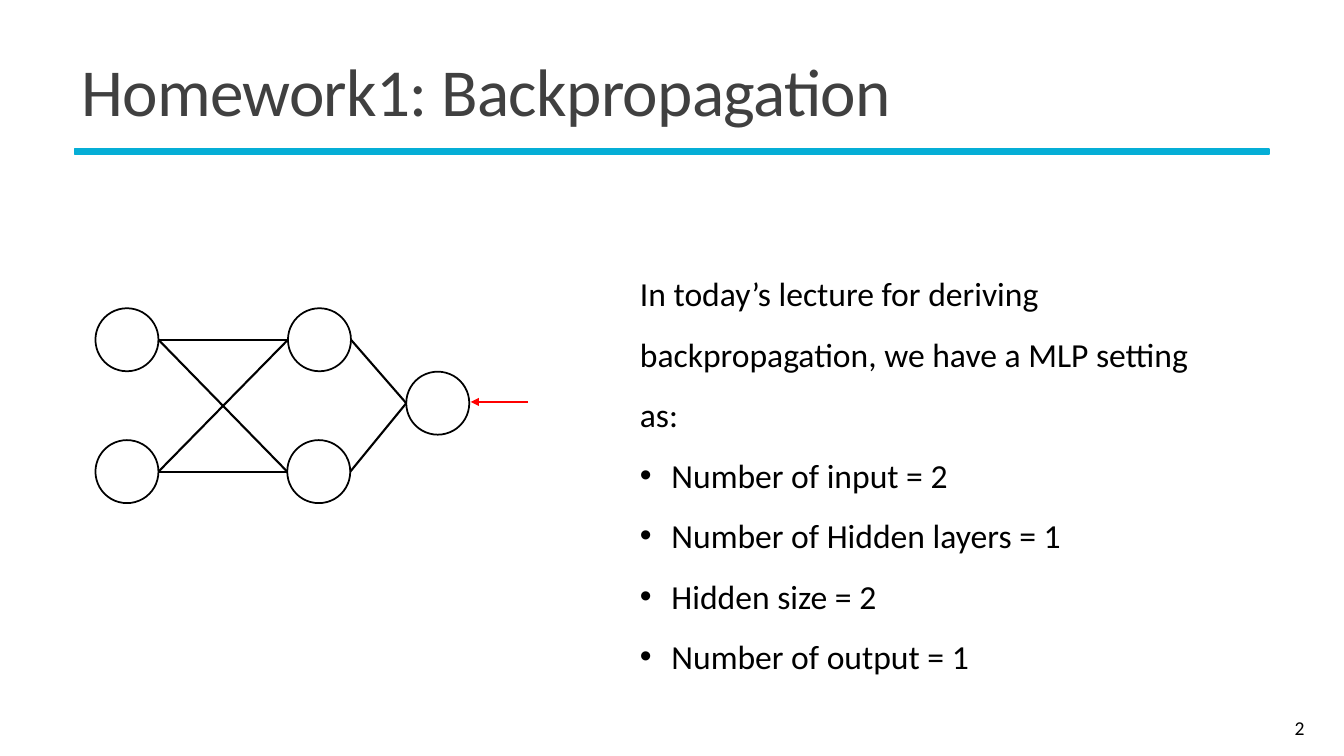
from lxml import etree
from pptx import Presentation
from pptx.dml.color import RGBColor
from pptx.enum.shapes import MSO_CONNECTOR, MSO_SHAPE
from pptx.enum.text import MSO_ANCHOR, MSO_AUTO_SIZE, PP_ALIGN
from pptx.oxml.ns import qn
from pptx.util import Pt

OVAL, RECTANGLE = MSO_SHAPE.OVAL, MSO_SHAPE.RECTANGLE
STRAIGHT = MSO_CONNECTOR.STRAIGHT
TOP, MIDDLE = MSO_ANCHOR.TOP, MSO_ANCHOR.MIDDLE
LEFT, RIGHT = PP_ALIGN.LEFT, PP_ALIGN.RIGHT
GROW = MSO_AUTO_SIZE.SHAPE_TO_FIT_TEXT
COLORS = {"title": "404040", "ink": "000000", "accent": "05AED6", "signal": "FF0000"}

prs = Presentation()
prs.slide_width, prs.slide_height = Pt(960), Pt(540)
slide = prs.slides.add_slide(prs.slide_layouts[6])


def add_text(box, lines, size, color, anchor, align, spacing):
    frame = slide.shapes.add_textbox(*map(Pt, box)).text_frame
    frame.word_wrap = True
    frame.vertical_anchor = anchor
    for i, line in enumerate(lines):
        paragraph = frame.paragraphs[0] if i == 0 else frame.add_paragraph()
        paragraph.text = line
        paragraph.alignment, paragraph.line_spacing = align, spacing
        font = paragraph.runs[0].font
        for name, value in {"name": "Calibri", "size": Pt(size)}.items():
            setattr(font, name, value)
        font.color.rgb = RGBColor.from_string(COLORS[color])
    return frame


def add_link(start, end, color):
    link = slide.shapes.add_connector(STRAIGHT, *map(Pt, (*start, *end)))
    link.line.color.rgb = RGBColor.from_string(COLORS[color])
    link.line.width = Pt(1.5)
    etree.SubElement(link._element.spPr, qn("a:effectLst"))
    return link


# Title and rule
rule = slide.shapes.add_shape(RECTANGLE, Pt(53.3), Pt(106.6), Pt(853.2), Pt(3.6))
rule.shadow.inherit = False
rule.fill.solid()
rule.fill.fore_color.rgb = rule.line.color.rgb = RGBColor.from_string(COLORS["accent"])
rule.line.width = Pt(1.25)
title = add_text((51.1, 28.1, 859.7, 81.4), ["Homework1: Backpropagation"],
                 48, "title", MIDDLE, LEFT, 0.85)
title.paragraphs[0].runs[0].font._element.set("spc", "-50")

# Network: node centres by layer
NODE = 45
RADIUS = NODE / 2
layers = [
    [(90.7, 242.7), (90.7, 336.9)],
    [(228.2, 242.7), (227.7, 336.9)],
    [(312.7, 288)],
]
for sources, targets in zip(layers, layers[1:]):
    for x1, y1 in sources:
        for x2, y2 in targets:
            add_link((x1 + RADIUS, y1), (x2 - RADIUS, y2), "ink")
for layer in layers:
    for x, y in layer:
        node = slide.shapes.add_shape(OVAL, Pt(x - RADIUS), Pt(y - RADIUS), Pt(NODE), Pt(NODE))
        node.shadow.inherit = False
        node.fill.background()
        node.line.color.rgb = RGBColor.from_string(COLORS["ink"])
        node.line.width = Pt(1.25)

# Backward signal into the output node
signal = add_link((377.3, 287.1), (336.2, 287.1), "signal")
etree.SubElement(signal.line._get_or_add_ln(), qn("a:tailEnd"), type="triangle")

# MLP setting
setting = add_text((450, 177.1, 433.4, 264.2), [
    "In today’s lecture for deriving backpropagation, we have a MLP setting as:",
    "Number of input = 2",
    "Number of Hidden layers = 1",
    "Hidden size = 2",
    "Number of output = 1",
], 24, "ink", TOP, LEFT, 1.5)
setting.auto_size = GROW
for item in setting.paragraphs[1:]:
    properties = item._p.get_or_add_pPr()
    properties.set("marL", str(Pt(22.5)))
    properties.set("indent", str(-Pt(22.5)))
    etree.SubElement(properties, qn("a:buFont"), typeface="Arial")
    etree.SubElement(properties, qn("a:buChar"), char="•")

# Page number
add_text((835.9, 505.4, 103, 28.8), ["2"], 14, "ink", MIDDLE, RIGHT, 1.0)

prs.save("out.pptx")
